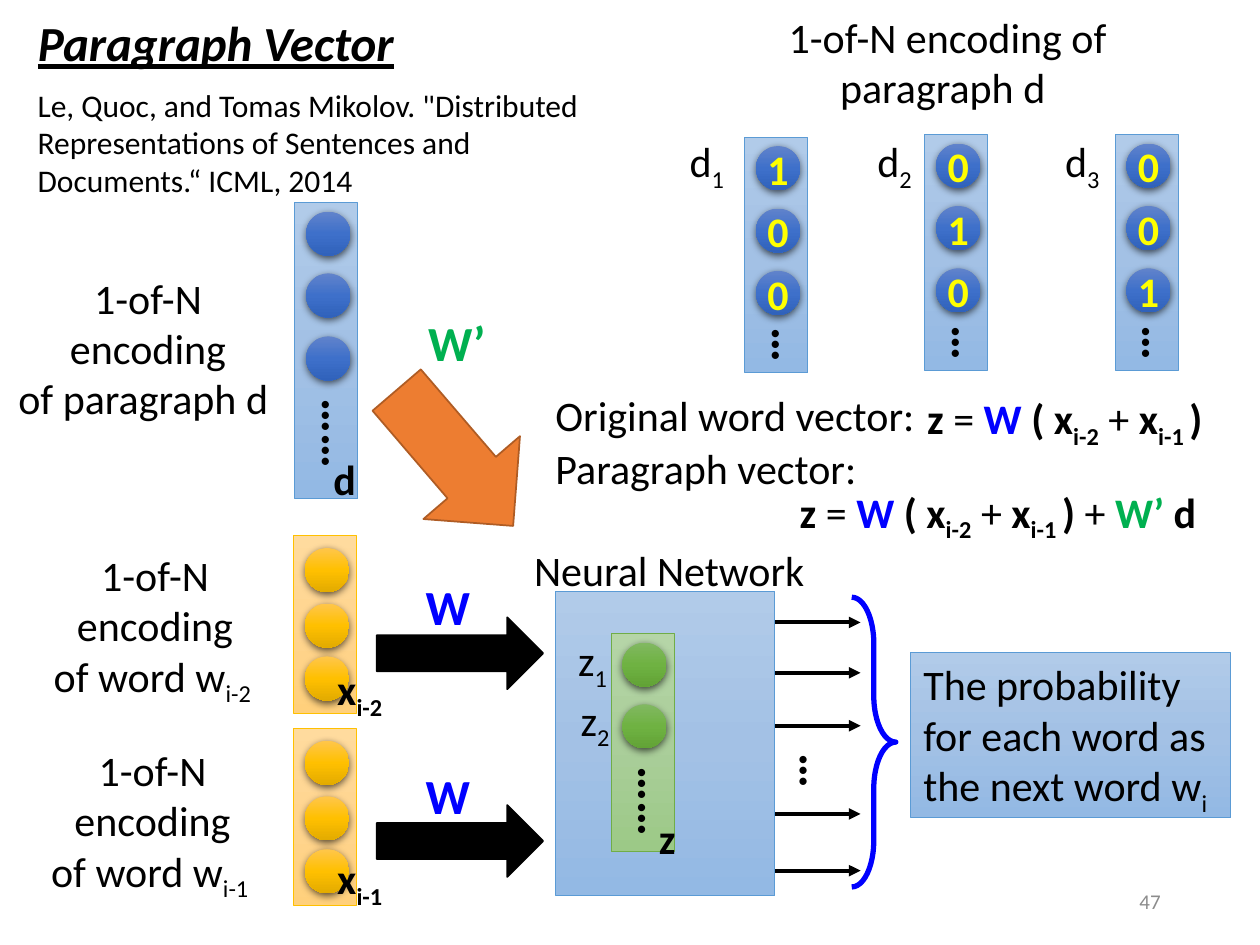
"""Build the Paragraph Vector slide: encodings feeding a neural network."""
from lxml.etree import SubElement
from pptx import Presentation
from pptx.dml.color import RGBColor
from pptx.enum.shapes import MSO_CONNECTOR as Connector, MSO_SHAPE as Preset
from pptx.enum.text import MSO_ANCHOR as Anchor, PP_ALIGN as Align
from pptx.oxml.ns import qn
from pptx.util import Cm, Pt

THEME = {
    "font": "Calibri",
    "title": 28, "big": 28, "text": 24, "citation": 18, "number": 12,
    "black": "000000", "blue": "0000FF", "green": "00B050",
    "yellow": "FFFF00", "gray": "8C8C8C",
    "orange": "ED7D31", "orange edge": "AF5C24",
    "panel": {
        "blue": (("B1CBE9", "A3C1E5", "93B9E4"), "5B9BD5"),
        "gold": (("FFDB9E", "FFD590", "FFD07C"), "FFC000"),
        "green": (("B5D5A7", "AACE9A", "9CC987"), "70AD47"),
    },
    "ball": {
        "blue": ("6183CB", "3E70CA", "3062BB"),
        "gold": ("FFC64B", "FFC000", "E3AB00"),
        "green": ("81B861", "6FB242", "62A336"),
    },
}
COLOR_FLAGS = {"B": "blue", "G": "green", "Y": "yellow", "K": "gray"}

TITLE = [("Paragraph Vector", "biu")]
CITATION = ('Le, Quoc, and Tomas Mikolov. "Distributed Representations '
            "of Sentences and Documents.“ ICML, 2014")
ENCODING = [("1-of-N encoding", "")]
FORMULA = [("z ", "b"), ("= ", ""), ("W ", "bB"), ("( x", "b"), ("i-2", "bs"),
           (" +", ""), (" x", "b"), ("i-1 ", "bs"), (")", "b")]
PARAGRAPH_FORMULA = FORMULA[:-1] + [(") ", "b"), ("+ ", ""), ("W’ ", "bG"), ("d", "b")]

COLUMNS = [
    (2.33, 4.25, 1.41, "gold", (0.1, 0.54, 0.96), None),
    (2.33, 5.78, 1.41, "gold", (0.1, 0.54, 0.96), None),
    (4.85, 5.03, 1.73, "green", (0.07, 0.56), ("……", 1.42)),
    (2.34, 1.61, 2.35, "blue", (0.07, 0.56, 1.06), ("……", 1.92)),
]
ONE_HOT = [(5.91, 1.09, "100", 5.16), (7.34, 1.07, "010", 6.65), (8.85, 1.07, "001", 8.14)]
DIGIT_PITCH = 0.495

OUTPUT_ROWS = (4.94, 5.34, 5.76, 6.46, 6.91)
WORD_ROWS = [("i-2 ", 4.31, 0.19, 4.9, 4.53, 5.22), ("i-1 ", 5.86, 0.17, 6.39, 6.03, 6.72)]

LABELS = [
    ((4.49, 4.99, 0.6, 0.5), [[("z", ""), ("1", "s")]], "text", Align.LEFT),
    ((4.51, 5.46, 0.6, 0.5), [[("z", ""), ("2", "s")]], "text", Align.LEFT),
    ((4.14, 4.27, 2.42, 0.5), [[("Neural Network", "")]], "text", Align.LEFT),
    ((0.01, 2.11, 2.33, 1.31), [ENCODING, [("of paragraph d ", "")]], "text", Align.CENTER),
    ((3.3, 2.43, 0.68, 0.57), [[("W’", "bG")]], "big", Align.LEFT),
    ((2.44, 3.55, 0.59, 0.5), [[("d", "b")]], "text", Align.CENTER),
    ((5, 6.4, 0.59, 0.5), [[("z", "b")]], "text", Align.CENTER),
    ((5.73, 0.04, 3.58, 0.91), [[("1-of-N encoding of paragraph d ", "")]], "text", Align.CENTER),
    ((7.26, 3.07, 2.65, 0.5), [FORMULA], "text", Align.LEFT),
    ((5.98, 3.81, 3.88, 0.5), [PARAGRAPH_FORMULA], "text", Align.CENTER),
    ((4.31, 3.04, 3.18, 0.5), [[("Original word vector:", "")]], "text", Align.LEFT),
    ((4.31, 3.46, 3.18, 0.5), [[("Paragraph vector:", "")]], "text", Align.LEFT),
    ((0.2, 0.63, 4.78, 1.01), [[(CITATION, "")]], "citation", Align.LEFT),
]
PROBABILITY = [[("The probability for each word as the next word w", ""), ("i", "s")]]


def inches(*values):
    return [Cm(value * 2.54) for value in values]


def rgb(code):
    return RGBColor.from_string(code)


def write(shape, paragraphs, size, align, anchor=Anchor.TOP):
    frame = shape.text_frame
    frame.word_wrap = True
    frame.vertical_anchor = anchor
    for index, runs in enumerate(paragraphs):
        para = frame.paragraphs[0] if index == 0 else frame.add_paragraph()
        para.alignment = align
        for text, flags in runs:
            span = para.add_run()
            span.text = text
            font = span.font
            font.name, font.size = THEME["font"], Pt(THEME[size])
            font.bold, font.italic, font.underline = (flag in flags for flag in "biu")
            color = next((COLOR_FLAGS[flag] for flag in flags if flag in COLOR_FLAGS), "black")
            font.color.rgb = rgb(THEME[color])
            if "s" in flags:
                span._r.get_or_add_rPr().set("baseline", "-25000")


def add_label(slide, at, paragraphs, size="text", align=Align.CENTER, anchor=Anchor.TOP):
    box = slide.shapes.add_textbox(*inches(*at))
    write(box, paragraphs, size, align, anchor)
    return box


def add_dots(slide, center_x, center_y, text, width=0.93):
    height = 0.57
    at = (center_x - width / 2, center_y - height / 2, width, height)
    add_label(slide, at, [[(text, "b")]], "big", Align.LEFT).rotation = 90


def add_preset(slide, preset, at, fill=None, edge=None, weight=1):
    shape = slide.shapes.add_shape(preset, *inches(*at))
    shape.shadow.inherit = False
    if fill is None:
        shape.fill.background()
    elif isinstance(fill, str):
        shape.fill.solid()
        shape.fill.fore_color.rgb = rgb(fill)
    else:
        shape.fill.gradient()
        shape.fill.gradient_angle = 270
        stops = shape._element.spPr.find(qn("a:gradFill")).find(qn("a:gsLst"))
        for stop in list(stops):
            stops.remove(stop)
        for position, code in zip((0, 50000, 100000), fill):
            stop = SubElement(stops, qn("a:gs"), pos=str(position))
            SubElement(stop, qn("a:srgbClr"), val=code)
    if edge:
        shape.line.color.rgb = rgb(edge)
        shape.line.width = Pt(weight)
    else:
        shape.line.fill.background()
    return shape


def add_panel(slide, at, tone):
    return add_preset(slide, Preset.RECTANGLE, at, *THEME["panel"][tone], weight=0.5)


def add_column(slide, left, top, height, tone, ball_tops, dots):
    add_panel(slide, (left, top, 0.5, height), tone)
    for offset in ball_tops:
        ball = add_preset(slide, Preset.OVAL, (left + 0.09, top + offset, 0.35, 0.35),
                          THEME["ball"][tone])
        effects = ball._element.spPr.find(qn("a:effectLst"))
        shadow = SubElement(effects, qn("a:outerShdw"), blurRad=str(Pt(4.5)),
                            dist=str(Pt(1.5)), dir="5400000", rotWithShape="0")
        color = SubElement(shadow, qn("a:srgbClr"), val=THEME["black"])
        SubElement(color, qn("a:alpha"), val="63000")
    if dots:
        add_dots(slide, left + 0.37, top + dots[1], dots[0])


def add_output_arrow(slide, y):
    arrow = slide.shapes.add_connector(Connector.STRAIGHT, *inches(6, y, 6.83, y))
    arrow.line.color.rgb = rgb(THEME["black"])
    arrow.line.width = Pt(2.25)
    SubElement(arrow.line._get_or_add_ln(), qn("a:tailEnd"), type="triangle")
    SubElement(arrow._element.spPr, qn("a:effectLst"))


def main():
    deck = Presentation()
    deck.slide_width, deck.slide_height = inches(10, 7.5)
    slide = deck.slides.add_slide(deck.slide_layouts[5])
    title = slide.shapes.title
    title.left, title.top, title.width, title.height = inches(0.2, 0.05, 3.55, 0.57)
    write(title, [TITLE], "title", Align.LEFT)

    for y in OUTPUT_ROWS:
        add_output_arrow(slide, y)
    add_dots(slide, 6.5, 6.17, "…", 0.57)
    add_panel(slide, (4.41, 4.69, 1.74, 2.42), "blue")
    brace = add_preset(slide, Preset.RIGHT_BRACE, (6.76, 4.74, 0.35, 2.3),
                       edge=THEME["blue"], weight=3)
    brace.adjustments[0], brace.adjustments[1] = 1.05, 0.5
    turn = add_preset(slide, Preset.RIGHT_ARROW, (2.9, 3.13, 1.42, 1.01),
                      THEME["orange"], THEME["orange edge"])
    turn.rotation = 49.4

    for column in COLUMNS:
        add_column(slide, *column)
    for index, (left, top, digits, label_left) in enumerate(ONE_HOT, 1):
        ball_tops = [0.07 + DIGIT_PITCH * row for row in range(len(digits))]
        add_column(slide, left, top, 1.87, "blue", ball_tops, ("…", 1.88))
        for row, digit in enumerate(digits):
            add_label(slide, (left + 0.04, top + DIGIT_PITCH * row, 0.45, 0.5), [[(digit, "bY")]])
        add_label(slide, (label_left, 1.03, 0.9, 0.5), [[("d", ""), (str(index), "s")]])

    for word, top, left, arrow_top, weight_top, vector_top in WORD_ROWS:
        add_label(slide, (left, top, 2.08, 1.31), [ENCODING, [("of word w", ""), (word, "s")]])
        add_preset(slide, Preset.RIGHT_ARROW, (2.99, arrow_top, 1.32, 0.57),
                   THEME["black"], THEME["black"])
        add_label(slide, (3.28, weight_top, 0.45, 0.57), [[("W", "bB")]], "big", Align.LEFT)
        add_label(slide, (2.56, vector_top, 0.59, 0.5), [[("x", "b"), (word, "bs")]])

    for label in LABELS:
        add_label(slide, *label)
    write(add_panel(slide, (7.23, 5.18, 2.54, 1.31), "blue"), PROBABILITY, "text", Align.LEFT)
    add_label(slide, (7.06, 6.95, 2.25, 0.4), [[("47", "K")]], "number", Align.RIGHT, Anchor.MIDDLE)
    deck.save("out.pptx")


if __name__ == "__main__":
    main()
